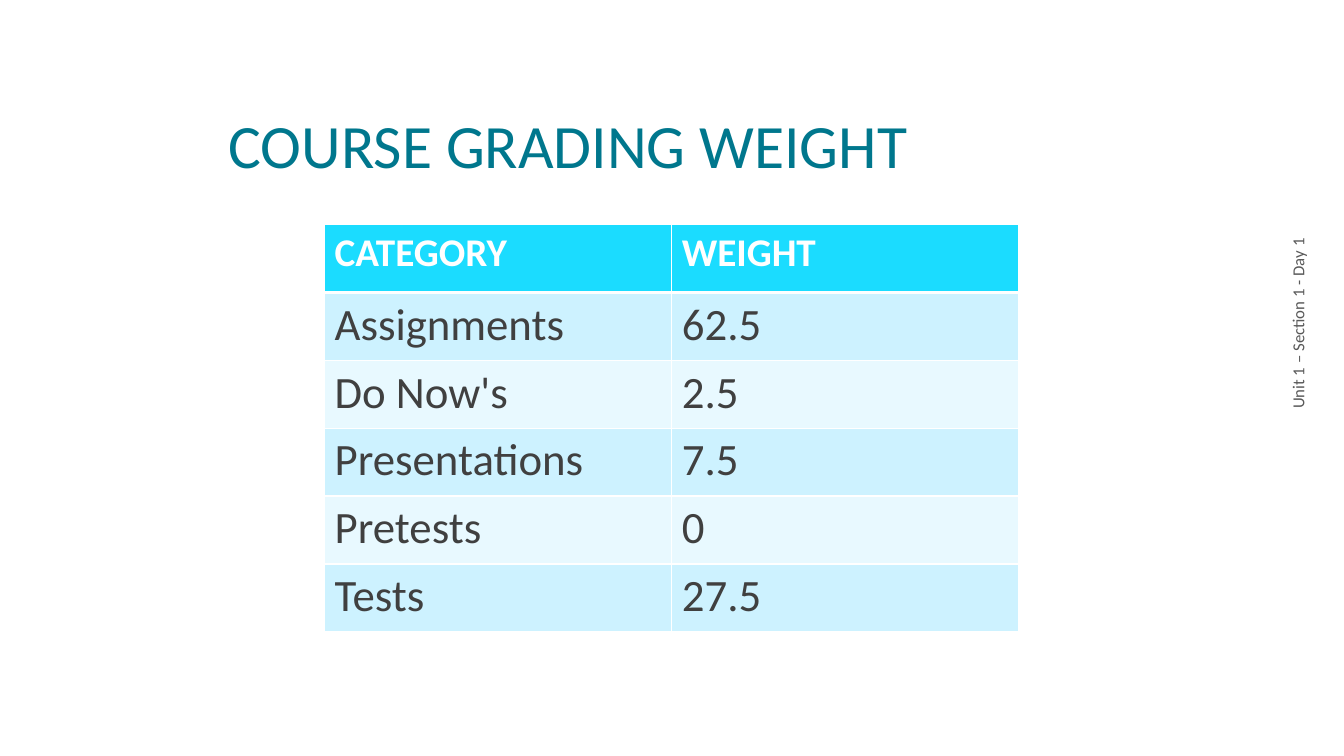
"""Build the course grading weight slide."""
from dataclasses import dataclass

from lxml.etree import SubElement
from pptx import Presentation
from pptx.dml.color import RGBColor
from pptx.enum.text import MSO_ANCHOR as Anchor, MSO_AUTO_SIZE as AutoSize, PP_ALIGN as Align
from pptx.oxml.ns import qn
from pptx.util import Cm, Pt

WHITE = "FFFFFF"
HEADER_FILL = "1BDCFF"
BAND_FILLS = ("CDF2FF", "E8F9FF")


@dataclass
class TextFormat:
    size: float
    color: str
    bold: bool = False


@dataclass
class Box:
    left: float
    top: float
    width: float
    height: float

    def lengths(self) -> tuple:
        return tuple(Cm(value) for value in (self.left, self.top, self.width, self.height))


@dataclass
class GradeRow:
    category: str
    weight: str


TITLE_FORMAT = TextFormat(44, "00778D")
HEADER_FORMAT = TextFormat(28, WHITE, True)
BODY_FORMAT = TextFormat(32, "404040")
FOOTER_FORMAT = TextFormat(12, "595959")

TITLE_BOX = Box(5.51, 1.07, 26.04, 3.61)
TABLE_BOX = Box(8.18, 5.66, 17.5, 10.26)
FOOTER_BOX = Box(32.31, 1.02, 0.79, 14.27)

GRADE_ROWS = [
    GradeRow("CATEGORY", "WEIGHT"),
    GradeRow("Assignments", "62.5"),
    GradeRow("Do Now's", "2.5"),
    GradeRow("Presentations", "7.5"),
    GradeRow("Pretests", "0"),
    GradeRow("Tests", "27.5"),
]


def rgb(color: str) -> RGBColor:
    return RGBColor.from_string(color)


def set_all(target, values: dict) -> None:
    for name, value in values.items():
        setattr(target, name, value)


def write(text_frame, text: str, style: TextFormat, **paragraph_values):
    paragraph = text_frame.paragraphs[0]
    set_all(paragraph, paragraph_values)
    run = paragraph.add_run()
    run.text = text
    set_all(run.font, {"name": "Calibri", "size": Pt(style.size), "bold": style.bold})
    run.font.color.rgb = rgb(style.color)


def add_borders(cell, widths: dict) -> None:
    properties = cell._tc.get_or_add_tcPr()
    for side, width in widths.items():
        line = SubElement(properties, qn(f"a:ln{side}"), w=str(Pt(width)))
        fill = SubElement(line, qn("a:solidFill"))
        SubElement(fill, qn("a:srgbClr"), val=WHITE)


def add_title(slide) -> None:
    title = slide.shapes.title
    set_all(title, dict(zip(("left", "top", "width", "height"), TITLE_BOX.lengths())))
    set_all(title.text_frame, {"vertical_anchor": Anchor.BOTTOM, "auto_size": AutoSize.NONE, "word_wrap": True})
    write(title.text_frame, "COURSE GRADING WEIGHT", TITLE_FORMAT, alignment=Align.LEFT, line_spacing=0.85)


def add_grades(slide) -> None:
    frame = slide.shapes.add_table(len(GRADE_ROWS), 2, *TABLE_BOX.lengths())
    for row_index, grade in enumerate(GRADE_ROWS):
        is_header = row_index == 0
        style = HEADER_FORMAT if is_header else BODY_FORMAT
        fill = HEADER_FILL if is_header else BAND_FILLS[(row_index - 1) % 2]
        widths = {"L": 1, "R": 1, "T": 3 if row_index == 1 else 1, "B": 3 if is_header else 1}
        for column_index, text in enumerate((grade.category, grade.weight)):
            cell = frame.table.cell(row_index, column_index)
            add_borders(cell, widths)
            cell.fill.solid()
            cell.fill.fore_color.rgb = rgb(fill)
            write(cell.text_frame, text, style)


def add_footer(slide) -> None:
    shape = slide.shapes.add_textbox(*FOOTER_BOX.lengths())
    set_all(shape.text_frame, {"word_wrap": True, "vertical_anchor": Anchor.MIDDLE})
    shape.element.txBody.find(qn("a:bodyPr")).set("vert", "vert270")
    write(shape.text_frame, "Unit 1 – Section 1 - Day 1", FOOTER_FORMAT, alignment=Align.CENTER)


def main() -> None:
    presentation = Presentation()
    set_all(presentation, {"slide_width": Cm(33.87), "slide_height": Cm(19.05)})
    slide = presentation.slides.add_slide(presentation.slide_layouts[5])
    add_title(slide)
    add_grades(slide)
    add_footer(slide)
    presentation.save("out.pptx")


if __name__ == "__main__":
    main()
